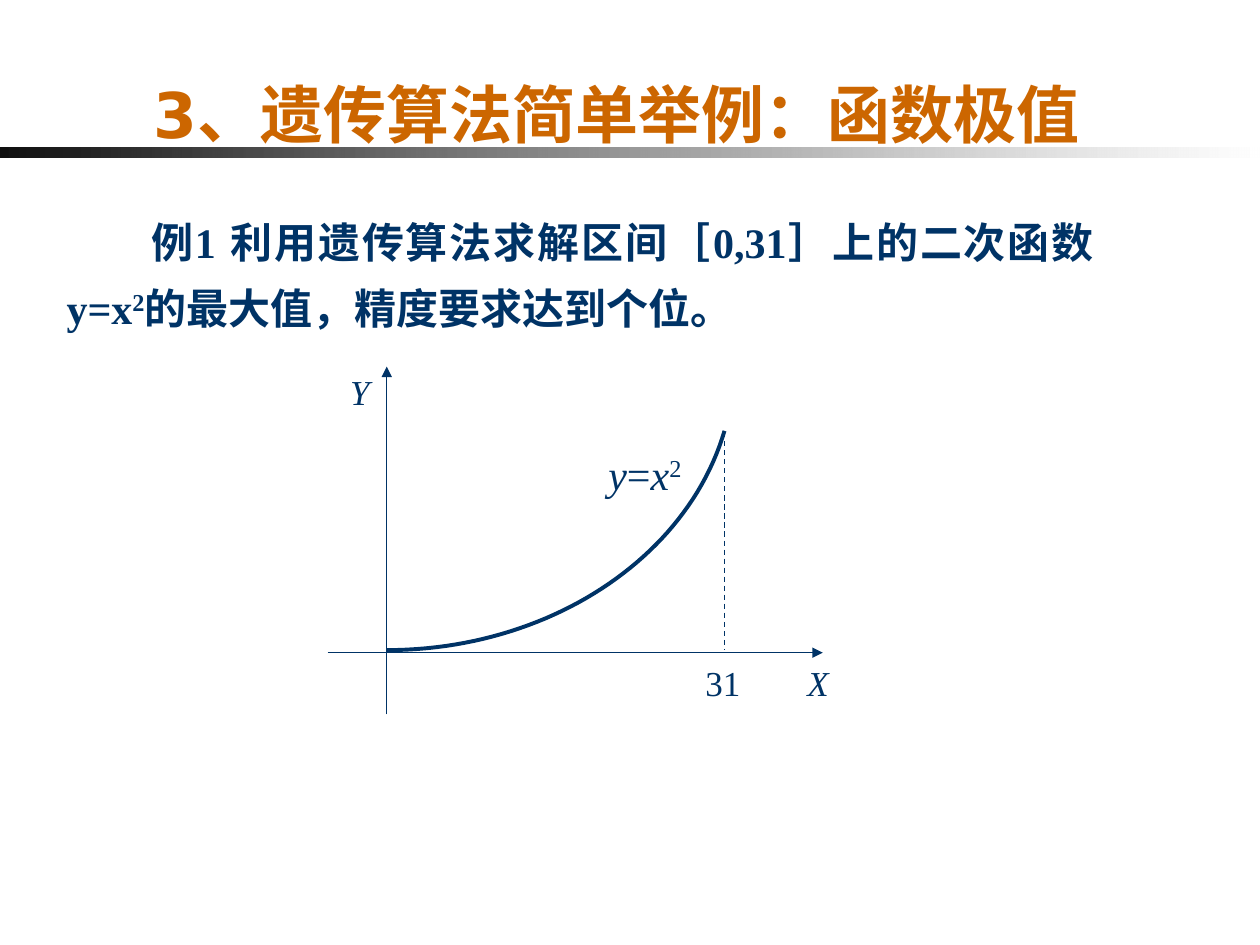
from lxml import etree
from pptx import Presentation
from pptx.dml.color import RGBColor
from pptx.enum.dml import MSO_LINE
from pptx.enum.shapes import MSO_CONNECTOR as Connector, MSO_SHAPE as Shape
from pptx.enum.text import MSO_AUTO_SIZE as AutoSize, PP_ALIGN as Align
from pptx.oxml.ns import qn
from pptx.util import Inches, Pt

NAVY = "003366"
ORANGE = "CC6600"
SERIF = "Times New Roman"
ORIGIN_X, AXIS_Y = 3.07, 5.18
CURVE_END_X = 5.75
CURVE_CONTROLS = [(ORIGIN_X, 5.16), (4.34, 5.16), (5.45, 4.44), (CURVE_END_X, 3.42)]


def color(value):
    return RGBColor.from_string(value)


def add_text(page, left, top, width, height, spans, size=20, font=SERIF,
             fill=NAVY, bold=False, align=Align.LEFT, spacing=None, indent=0):
    box = page.shapes.add_textbox(Inches(left), Inches(top), Inches(width), Inches(height))
    frame = box.text_frame
    frame.word_wrap = True
    frame.auto_size = AutoSize.SHAPE_TO_FIT_TEXT
    para = frame.paragraphs[0]
    para.alignment = align
    if spacing:
        para.line_spacing = spacing
    if indent:
        para._p.get_or_add_pPr().set("indent", str(Inches(indent)))
    for text, style in spans:
        span = para.add_run()
        span.text = text
        span.font.size = Pt(size)
        span.font.name = font
        span.font.bold = bold
        span.font.italic = style == "italic"
        span.font.color.rgb = color(fill)
        if style == "super":
            span.font._element.set("baseline", "30000")


def add_line(page, start, end, arrow=False, dashed=False):
    line = page.shapes.add_connector(
        Connector.STRAIGHT, *(Inches(value) for value in (*start, *end)))
    line.line.color.rgb = color(NAVY)
    line.line.width = Pt(0.75)
    if dashed:
        line.line.dash_style = MSO_LINE.DASH
    if arrow:
        etree.SubElement(line.line._get_or_add_ln(), qn("a:tailEnd"), type="triangle")
    etree.SubElement(line._element.spPr, qn("a:effectLst"))


def add_gradient_bar(page, left, top, width, height, stops):
    bar = page.shapes.add_shape(
        Shape.RECTANGLE, Inches(left), Inches(top), Inches(width), Inches(height))
    bar.shadow.inherit = False
    bar.line.fill.background()
    bar.fill.gradient()
    bar.fill.gradient_angle = 0
    for stop, (position, value, opacity) in zip(bar.fill.gradient_stops, stops):
        stop.position = position
        stop.color.rgb = color(value)
        shade = stop._gs.find(qn("a:srgbClr"))
        etree.SubElement(shade, qn("a:alpha"), val=str(opacity * 1000))


def bezier_point(controls, t):
    weights = ((1 - t) ** 3, 3 * t * (1 - t) ** 2, 3 * t ** 2 * (1 - t), t ** 3)
    return tuple(Inches(sum(weight * value for weight, value in zip(weights, values)))
                 for values in zip(*controls))


def add_curve(page, controls, steps=48):
    points = [bezier_point(controls, step / steps) for step in range(steps + 1)]
    builder = page.shapes.build_freeform(*points[0])
    builder.add_line_segments(points[1:], close=False)
    curve = builder.convert_to_shape()
    curve.shadow.inherit = False
    curve.fill.background()
    curve.line.color.rgb = color(NAVY)
    curve.line.width = Pt(2.25)


def main():
    deck = Presentation()
    deck.slide_width, deck.slide_height = Inches(10), Inches(7.5)
    page = deck.slides.add_slide(deck.slide_layouts[6])

    add_gradient_bar(page, 0, 1.17, 10, 0.08, [(0, "080808", 97), (1, "FFFFFF", 70)])
    add_text(page, 0.43, 1.55, 8.35, 1.14,
             [("例1 利用遗传算法求解区间［0,31］上的二次函数y=x", None),
              ("2", "super"), ("的最大值，精度要求达到个位。", None)],
             size=24, bold=True, align=Align.JUSTIFY, spacing=1.3, indent=0.67)

    add_text(page, 4.73, 3.51, 0.87, 0.5,
             [("y", "italic"), ("=", None), ("x", "italic"), ("2", "super")], size=24)
    add_line(page, (2.6, AXIS_Y), (6.53, AXIS_Y), arrow=True)
    add_line(page, (ORIGIN_X, 5.67), (ORIGIN_X, 2.91), arrow=True)
    add_curve(page, CURVE_CONTROLS)
    add_line(page, (CURVE_END_X, 3.43), (CURVE_END_X, 5.16), dashed=True)
    for left, top, width, label, style in [(5.5, 5.2, 0.6, "31", None),
                                           (6.31, 5.2, 0.5, "X", "italic"),
                                           (2.68, 2.89, 0.4, "Y", "italic")]:
        add_text(page, left, top, width, 0.43, [(label, style)])

    add_text(page, 0.83, 0.55, 8.13, 0.7, [("3、遗传算法简单举例：函数极值", None)],
             size=36, font="DejaVu Sans", fill=ORANGE, bold=True, align=Align.CENTER)
    deck.save("out.pptx")


if __name__ == "__main__":
    main()
